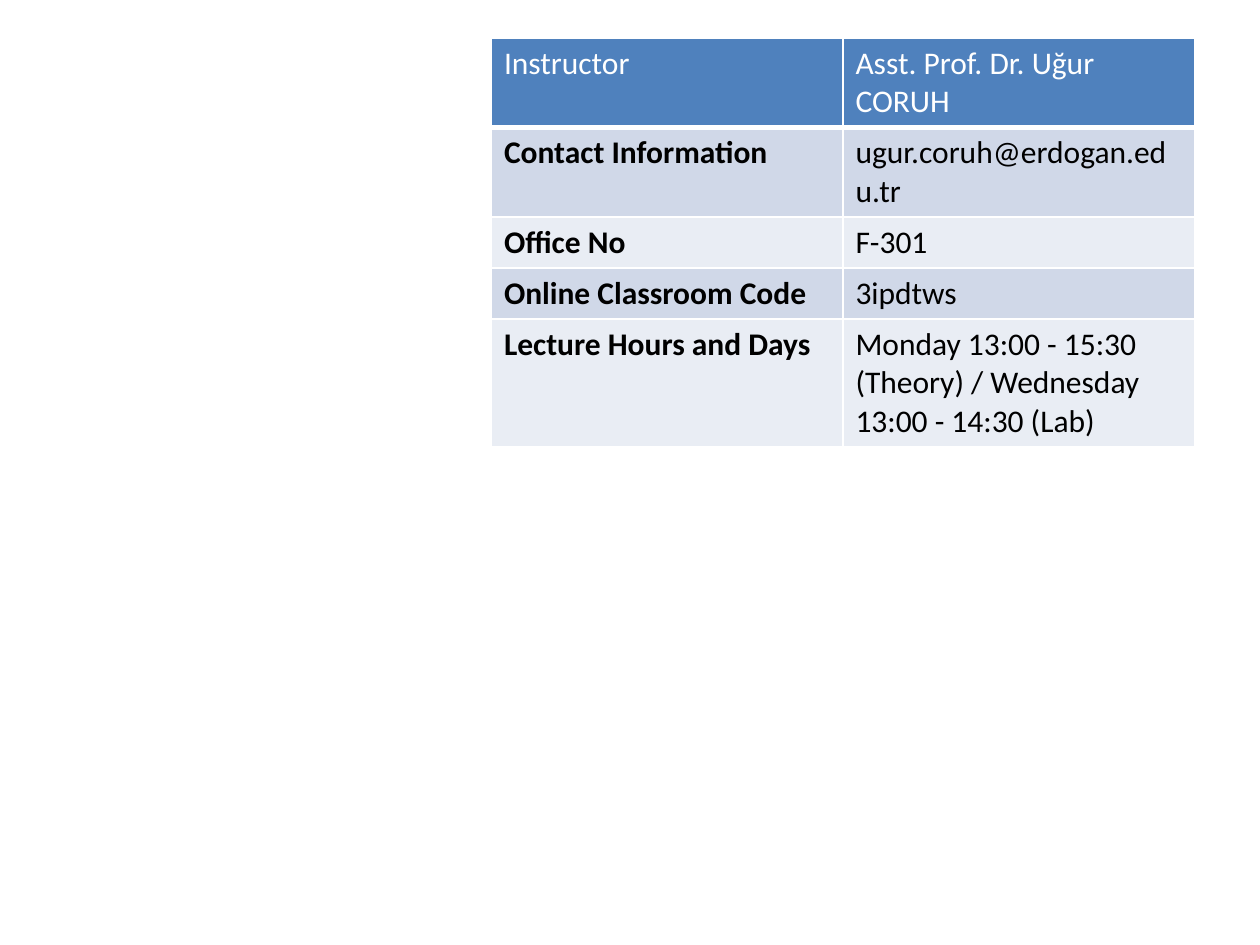
from lxml import etree
from pptx import Presentation
from pptx.dml.color import RGBColor
from pptx.oxml.ns import qn
from pptx.util import Inches, Pt

COLORS = {"header": "4F81BD", "odd": "D0D8E8", "even": "E9EDF4",
          "white": "FFFFFF", "black": "000000"}
ROWS = [
    ("Instructor", "Asst. Prof. Dr. Uğur CORUH", 0.71),
    ("Contact Information", "ugur.coruh@erdogan.edu.tr", 0.71),
    ("Office No", "F-301", 0.4),
    ("Online Classroom Code", "3ipdtws", 0.4),
    ("Lecture Hours and Days",
     "Monday 13:00 - 15:30 (Theory) / Wednesday 13:00 - 14:30 (Lab)", 1.01),
]


def set_text(cell, text, size=18, font="Calibri", color="black", bold=False):
    r = cell.text_frame.paragraphs[0].add_run()
    r.text = text
    r.font.size = Pt(size)
    r.font.name = font
    r.font.bold = bold
    r.font.color.rgb = RGBColor.from_string(COLORS[color])


def set_borders(cell, bottom=1):
    tc_pr = cell._tc.get_or_add_tcPr()
    for side, width in (("L", 1), ("R", 1), ("T", 1), ("B", bottom)):
        ln = etree.SubElement(tc_pr, qn(f"a:ln{side}"), w=str(Pt(width)))
        fill = etree.SubElement(ln, qn("a:solidFill"))
        etree.SubElement(fill, qn("a:srgbClr"), val=COLORS["white"])


prs = Presentation()
prs.slide_width = Inches(10)
prs.slide_height = Inches(7.5)
s = prs.slides.add_slide(prs.slide_layouts[6])

height = sum(row[2] for row in ROWS)
table = s.shapes.add_table(len(ROWS), 2, Inches(3.9), Inches(0.3),
                           Inches(5.58), Inches(height)).table
for column in table.columns:
    column.width = Inches(2.79)

for i, (label, value, row_height) in enumerate(ROWS):
    table.rows[i].height = Inches(row_height)
    header = i == 0
    band = "header" if header else "odd" if i % 2 else "even"
    for j, text in enumerate((label, value)):
        cell = table.cell(i, j)
        set_text(cell, text, color="white" if header else "black",
                 bold=j == 0 and not header)
        set_borders(cell, bottom=3 if header else 1)
        cell.fill.solid()
        cell.fill.fore_color.rgb = RGBColor.from_string(COLORS[band])

prs.save("out.pptx")
